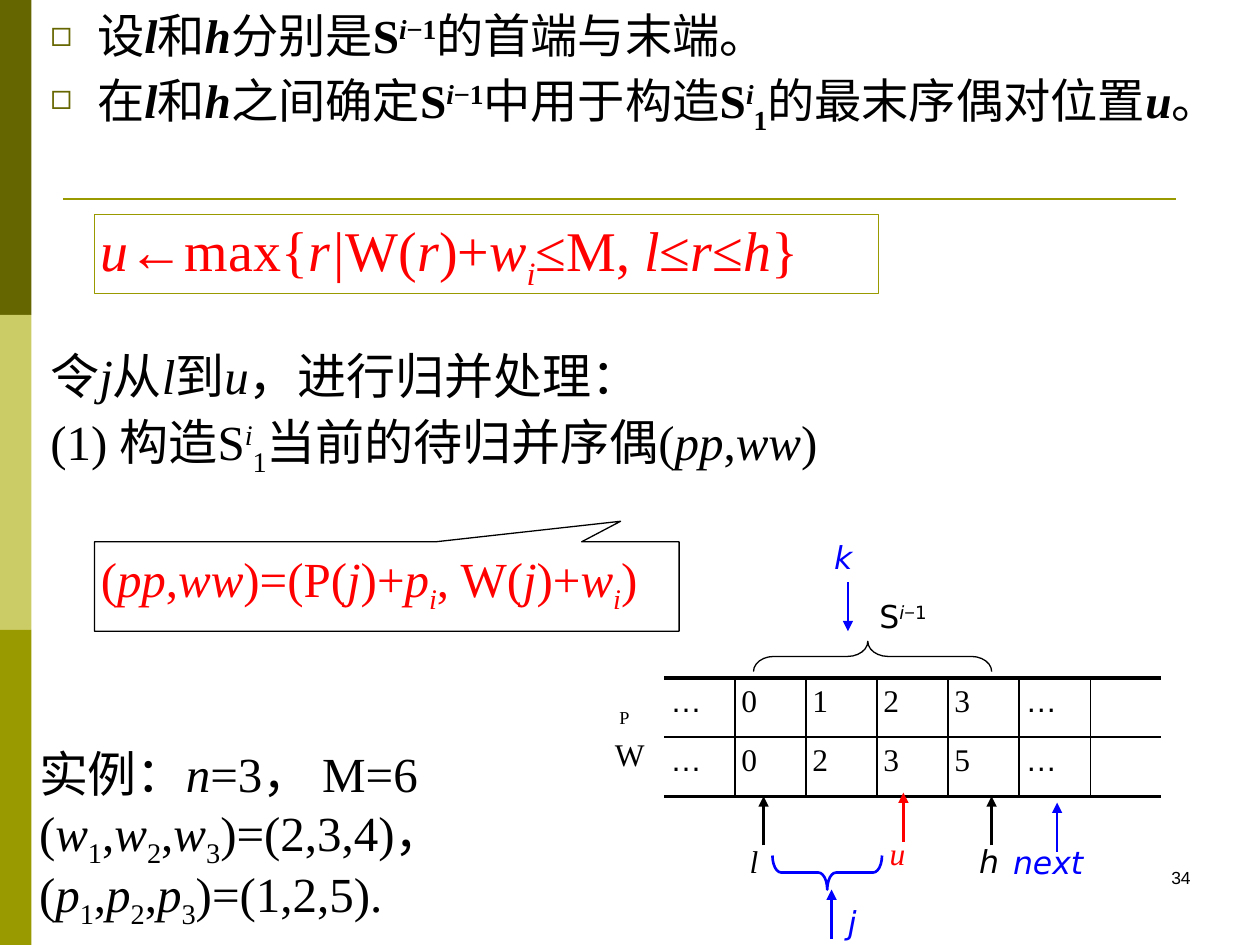
from lxml import etree
from pptx import Presentation
from pptx.dml.color import RGBColor
from pptx.enum.shapes import MSO_CONNECTOR, MSO_SHAPE
from pptx.enum.text import MSO_ANCHOR, MSO_AUTO_SIZE, PP_ALIGN
from pptx.oxml.ns import qn
from pptx.util import Inches, Pt

BLACK = RGBColor(0x00, 0x00, 0x00)
RED = RGBColor(0xFF, 0x00, 0x00)
BLUE = RGBColor(0x00, 0x00, 0xFF)
DARK_OLIVE = RGBColor(0x66, 0x66, 0x00)
PALE_OLIVE = RGBColor(0xCC, 0xCC, 0x66)
OLIVE = RGBColor(0x99, 0x99, 0x00)

SERIF, SANS, ARIAL, CJK = "Times New Roman", "DejaVu Sans", "Arial", "Noto Sans CJK SC"
LEFT, RIGHT = PP_ALIGN.LEFT, PP_ALIGN.RIGHT
TOP, MIDDLE = MSO_ANCHOR.TOP, MSO_ANCHOR.MIDDLE
RECTANGLE, CALLOUT = MSO_SHAPE.RECTANGLE, MSO_SHAPE.RECTANGULAR_CALLOUT
LEFT_BRACE, RIGHT_BRACE = MSO_SHAPE.LEFT_BRACE, MSO_SHAPE.RIGHT_BRACE
STRAIGHT = MSO_CONNECTOR.STRAIGHT

WIDTH, HEIGHT = 10, 7.5
GRID_LEFT, GRID_TOP, COLUMN, ROW = 5.27, 5.38, 0.564, 0.47
GRID_BOTTOM = GRID_TOP + 2 * ROW
ARROW = 0.39

# Spans are parted by "~"; flags before ":" are i italic, b bold,
# ^ superscript, _ subscript, a Arial, c Chinese font.
PREVIOUS = "b:S~bi^:i~a^:−~b^:1"
PAIRS = [
    f"c:设~bi:l~c:和~bi:h~c:分别是~{PREVIOUS}~c:的首端与末端。",
    f"c:在~bi:l~c:和~bi:h~c:之间确定~{PREVIOUS}~c:中用于构造~b:S~bi^:i~b_:1"
    "~c:的最末序偶对位置~bi:u~c:。",
]
POSITION = "i:u~:←max{~i:r|~:W(~i:r~:)+~i:w~i_:i~:≤M, ~i:l~:≤~i:r~:≤~i:h~:}"
MERGE = [
    ":令~i:j~:从~i:l~:到~i:u~:，进行归并处理：",
    ":(1) 构造S~i^:i~_:1~:当前的待归并序偶(~i:pp~:,~i:ww~:)",
]
NEW_PAIR = ":(~i:pp~:,~i:ww~:)=(P(~i:j~:)+~i:p~i_:i~:, W(~i:j~:)+~i:w~i_:i~:)"


def indexed(letter):
    return "~:,~".join(f"i:{letter}~_:{number}" for number in (1, 2, 3))


EXAMPLE = [
    ":实例：~i:n~:=3， M=6",
    f":(~{indexed('w')}~:)=(2,3,4)，",
    f":(~{indexed('p')}~:)=(1,2,5).",
]
CELLS = [["…", "0", "1", "2", "3", "…", ""], ["…", "0", "2", "3", "5", "…", ""]]


def apply(target, values):
    for name, value in values.items():
        setattr(target, name, value)


def add_span(para, markup, size, color, font):
    flags, _, text = markup.partition(":")
    span = para.add_run()
    span.text = text
    face = ARIAL if "a" in flags else CJK if "c" in flags else font
    apply(span.font, {"name": face, "size": Pt(size),
                      "bold": "b" in flags, "italic": "i" in flags})
    span.font.color.rgb = color
    properties = span.font._element
    etree.SubElement(properties, qn("a:ea"), typeface=CJK)
    for flag, shift in (("^", "30000"), ("_", "-25000")):
        if flag in flags:
            properties.set("baseline", shift)


def add_bullet(para):
    properties = para._p.get_or_add_pPr()
    properties.set("marL", str(Inches(0.37)))
    properties.set("indent", str(-Inches(0.37)))
    color = etree.SubElement(properties, qn("a:buClr"))
    etree.SubElement(color, qn("a:srgbClr"), val=str(DARK_OLIVE))
    etree.SubElement(properties, qn("a:buSzPct"), val="75000")
    etree.SubElement(properties, qn("a:buChar"), char="◻")


def write(frame, lines, size=18, color=BLACK, font=SERIF, align=LEFT, anchor=TOP,
          spacing=None, gap=0, bullet=False, margin=0.05):
    sides = ("left", "top", "right", "bottom")
    apply(frame, {"word_wrap": True, "auto_size": MSO_AUTO_SIZE.NONE,
                  "vertical_anchor": anchor,
                  **{f"margin_{side}": Inches(margin) for side in sides}})
    for index, line in enumerate(lines):
        para = frame.add_paragraph() if index else frame.paragraphs[0]
        if bullet:
            add_bullet(para)
        apply(para, {"alignment": align, "line_spacing": spacing,
                     "space_before": Pt(gap if index else 0)})
        for markup in line.split("~"):
            add_span(para, markup, size, color, font)


def add_text(page, area, lines, **style):
    box = page.shapes.add_textbox(*map(Inches, area))
    write(box.text_frame, lines, **style)


def add_shape(page, kind, area, fill=None, line=None, weight=0.75, adjust=()):
    shape = page.shapes.add_shape(kind, *map(Inches, area))
    shape.shadow.inherit = False
    for part, color in ((shape.fill, fill), (shape.line.fill, line)):
        if color is None:
            part.background()
        else:
            part.solid()
            part.fore_color.rgb = color
    if line is not None:
        shape.line.width = Pt(weight)
    for index, value in enumerate(adjust):
        shape.adjustments[index] = value
    return shape


def add_brace(page, kind, left, top, span, depth, color, weight, adjust):
    # An upright brace is turned a quarter about its centre.
    shift = (span - depth) / 2
    area = (left + shift, top - shift, depth, span)
    add_shape(page, kind, area, None, color, weight, adjust).rotation = 90


def add_line(page, start, end, color, head=False):
    line = page.shapes.add_connector(STRAIGHT, *map(Inches, start + end))
    line.line.color.rgb = color
    line.line.width = Pt(1.5)
    if head:
        etree.SubElement(line.line._get_or_add_ln(), qn("a:tailEnd"), type="triangle")
    etree.SubElement(line._element.spPr, qn("a:effectLst"))


def set_border(cell, side, weight, position):
    border = etree.Element(qn(f"a:ln{side}"), w=str(Pt(weight)))
    fill = etree.SubElement(border, qn("a:solidFill" if weight else "a:noFill"))
    if weight:
        etree.SubElement(fill, qn("a:srgbClr"), val=str(BLACK))
    cell._tc.get_or_add_tcPr().insert(position, border)


def add_grid(page):
    rows, columns = len(CELLS), len(CELLS[0])
    area = (GRID_LEFT, GRID_TOP, columns * COLUMN, rows * ROW)
    table = page.shapes.add_table(rows, columns, *map(Inches, area)).table
    apply(table, {"first_row": False, "horz_banding": False})
    for row, texts in enumerate(CELLS):
        table.rows[row].height = Inches(ROW)
        for column, text in enumerate(texts):
            cell = table.cell(row, column)
            cell.fill.background()
            apply(cell, {f"margin_{side}": Inches(0.05)
                         for side in ("left", "top", "right", "bottom")})
            add_span(cell.text_frame.paragraphs[0], ":" + text, 18, BLACK,
                     ARIAL if text == "…" else SERIF)
            weights = {"L": 1 if column else 0, "R": 1 if column < columns - 1 else 0,
                       "T": 1 if row else 2.25, "B": 1 if row < rows - 1 else 2.25}
            for position, (side, weight) in enumerate(weights.items()):
                set_border(cell, side, weight, position)


def add_pointer(page, x, tail, label, area, color, font=SANS, down=False):
    tip = tail + ARROW if down else tail - ARROW
    add_line(page, (x, tail), (x, tip), color, head=True)
    add_text(page, area, ["i:" + label], color=color, font=font)


def main():
    deck = Presentation()
    apply(deck, {"slide_width": Inches(WIDTH), "slide_height": Inches(HEIGHT)})
    page = deck.slides.add_slide(deck.slide_layouts[1])
    title = page.shapes.title._element
    title.getparent().remove(title)

    # Side bars and rule
    for index, color in enumerate((DARK_OLIVE, PALE_OLIVE, OLIVE)):
        add_shape(page, RECTANGLE, (0, index * HEIGHT / 3, 0.25, HEIGHT / 3), color)
    add_line(page, (0.5, 1.58), (9.33, 1.58), OLIVE)

    # Bulleted list
    body = page.placeholders[1]
    apply(body, dict(zip(("left", "top", "width", "height"),
                         map(Inches, (0.35, 0.05, 9.65, 1.5)))))
    write(body.text_frame, PAIRS, size=27, spacing=0.9, gap=5, bullet=True)

    # Formulas and merge steps
    formula = add_shape(page, RECTANGLE, (0.75, 1.7, 6.22, 0.63), line=OLIVE)
    write(formula.text_frame, [POSITION], size=32, color=RED, anchor=MIDDLE)
    add_text(page, (0.35, 2.65, 9.29, 1.1), MERGE, size=28, spacing=1.1)
    callout = add_shape(page, CALLOUT, (0.75, 4.3, 4.64, 0.71), line=BLACK,
                        adjust=(0.4, -0.73))
    write(callout.text_frame, [NEW_PAIR], size=28, color=RED)
    add_text(page, (0.26, 5.94, 6.09, 1.34), EXAMPLE, size=28, spacing=0.8, gap=4)

    # Table of pairs with its labels
    add_grid(page)
    add_text(page, (4.84, 5.4, 0.43, 0.74), ["_: P", ":W"], gap=4, margin=0.04)
    add_text(page, (6.93, 4.69, 0.63, 0.43), [":S~i^:i~a^:−~^:1"], font=SANS)
    add_brace(page, LEFT_BRACE, 5.98, 5.09, 1.89, 0.24, BLACK, 0.75, (0.67, 0.52))
    add_brace(page, RIGHT_BRACE, 6.13, 6.79, 0.87, 0.27, BLUE, 1.5, (0.26, 0.5))

    # Pointers into the table
    below = GRID_BOTTOM + ARROW
    add_pointer(page, 6.06, below, "l", (5.9, 6.63, 0.32, 0.41), BLACK, SERIF)
    add_pointer(page, 7.17, 6.68, "u", (7.01, 6.57, 0.32, 0.41), RED, SERIF)
    add_pointer(page, 7.87, below, "h", (7.72, 6.63, 0.39, 0.41), BLACK)
    add_pointer(page, 8.39, 6.76, "next", (7.99, 6.64, 1.34, 0.41), BLUE)
    add_pointer(page, 6.6, 7.45, "j", (6.68, 7.12, 0.32, 0.38), BLUE)
    add_pointer(page, 6.73, 4.62, "k", (6.57, 4.22, 0.32, 0.41), BLUE, down=True)

    # Page number
    add_text(page, (9.12, 6.83, 0.38, 0.27), [":34"], size=10, font=ARIAL, align=RIGHT)
    deck.save("out.pptx")


if __name__ == "__main__":
    main()
